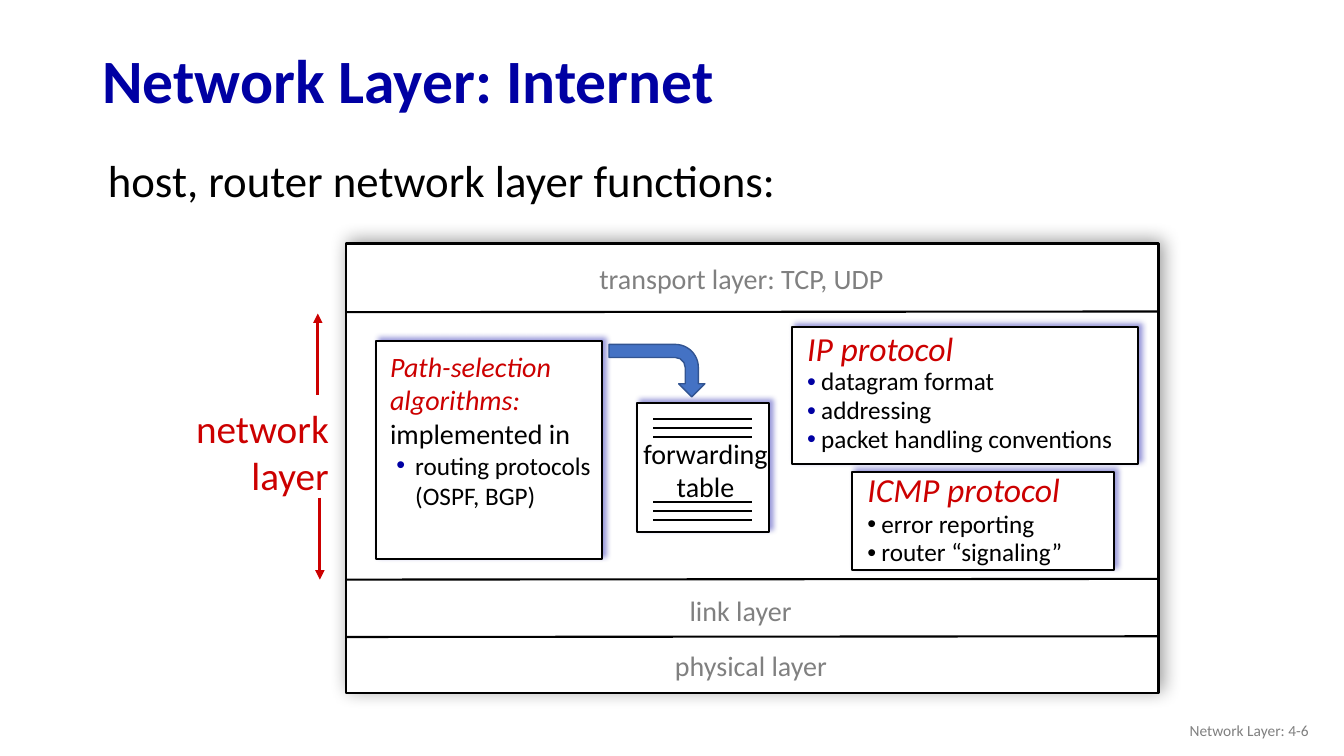
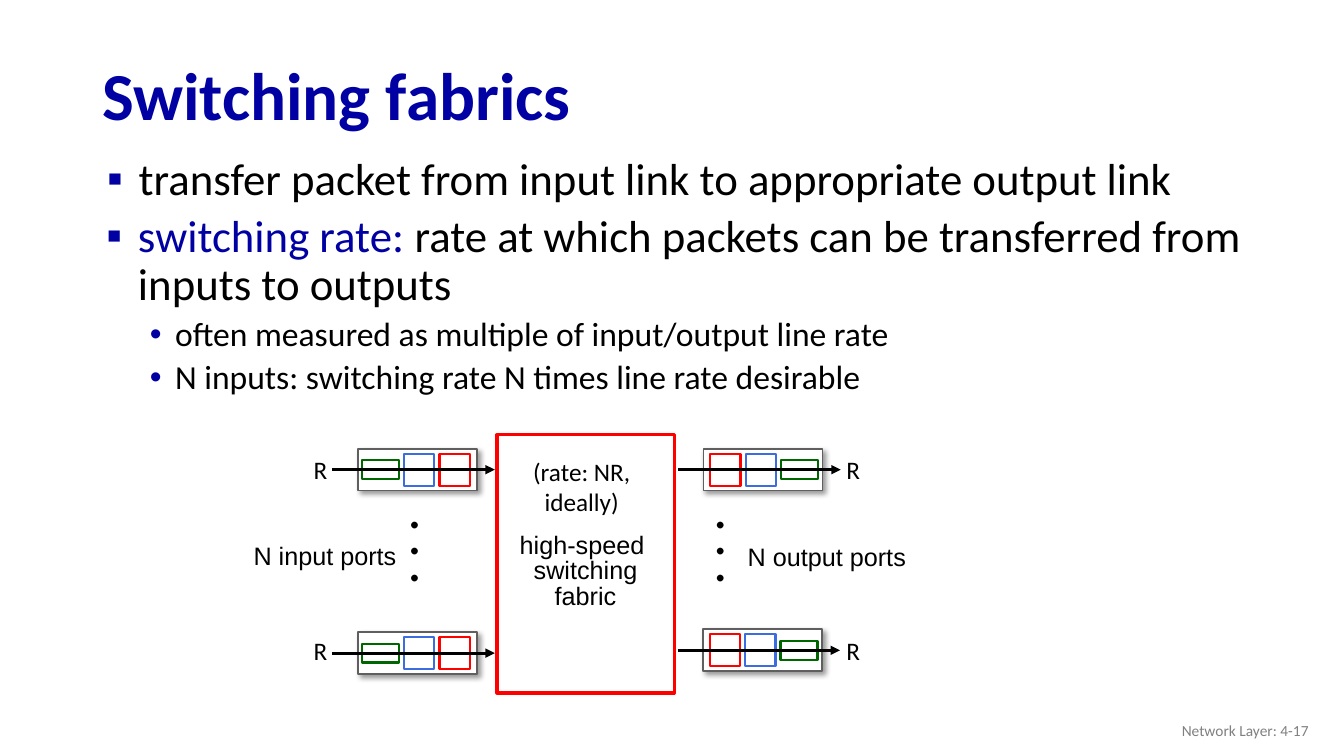
from lxml import etree
from pptx import Presentation
from pptx.dml.color import RGBColor
from pptx.enum.shapes import MSO_CONNECTOR, MSO_SHAPE
from pptx.enum.text import MSO_ANCHOR, MSO_AUTO_SIZE, PP_ALIGN
from pptx.oxml.ns import qn
from pptx.util import Pt

RECTANGLE = MSO_SHAPE.RECTANGLE
BENT_ARROW = MSO_SHAPE.BENT_ARROW
STRAIGHT = MSO_CONNECTOR.STRAIGHT
TOP, MIDDLE = MSO_ANCHOR.TOP, MSO_ANCHOR.MIDDLE
CENTER, RIGHT = PP_ALIGN.CENTER, PP_ALIGN.RIGHT
GROW, FIXED = MSO_AUTO_SIZE.SHAPE_TO_FIT_TEXT, MSO_AUTO_SIZE.NONE

COLORS = {
    "navy": "0000A3", "crimson": "CC0000", "black": "000000", "white": "FFFFFF",
    "gray": "808080", "slate": "5F5F5F", "red": "FF0000", "blue": "3C6CDF",
    "green": "006600", "arrow": "4472C4", "arrow edge": "325491",
}


def write(page, place, paragraphs, wrap=True, anchor=TOP, font="Calibri"):
    box = page.shapes.add_textbox(*map(Pt, place))
    frame = box.text_frame
    frame.word_wrap = wrap
    frame.auto_size = FIXED if wrap else GROW
    frame.vertical_anchor = anchor
    for index, item in enumerate(paragraphs):
        para = frame.paragraphs[0] if index == 0 else frame.add_paragraph()
        para.level = item.get("level", 0)
        if "bullet" in item:
            mark, color, left, hang = item["bullet"]
            props = para._p.get_or_add_pPr()
            props.set("marL", str(Pt(left)))
            props.set("indent", str(Pt(-hang)))
            paint = etree.SubElement(props, qn("a:buClr"))
            etree.SubElement(paint, qn("a:srgbClr"), val=COLORS[color])
            etree.SubElement(props, qn("a:buFont"), typeface="Arial")
            etree.SubElement(props, qn("a:buChar"), char=mark)
        para.alignment = item.get("align")
        para.line_spacing = item.get("spacing", 1.0)
        para.space_before = Pt(item.get("before", 0))
        for text, size, color, style in item["runs"]:
            span = para.add_run()
            span.text = text
            span.font.name = font
            span.font.size = Pt(size)
            span.font.bold = style == "bold"
            span.font.italic = style == "italic"
            span.font.color.rgb = RGBColor.from_string(COLORS[color])
    return box


def draw(page, place, line, width, fill="white", preset=RECTANGLE, shadow=None):
    shape = page.shapes.add_shape(preset, *map(Pt, place))
    shape.fill.solid()
    shape.fill.fore_color.rgb = RGBColor.from_string(COLORS[fill])
    shape.line.color.rgb = RGBColor.from_string(COLORS[line])
    shape.line.width = Pt(width)
    shape.shadow.inherit = False
    if shadow:
        color, blur, angle = shadow
        effects = shape._element.spPr.find(qn("a:effectLst"))
        outer = etree.SubElement(
            effects, qn("a:outerShdw"), blurRad=str(Pt(blur)), dist=str(Pt(3)),
            dir=str(angle * 60000), algn="ctr", rotWithShape="0")
        paint = etree.SubElement(outer, qn("a:srgbClr"), val=COLORS[color])
        etree.SubElement(paint, qn("a:alpha"), val="40000")
    return shape


deck = Presentation()
deck.slide_width, deck.slide_height = Pt(960), Pt(540)
pages = []
for title, size, top, number in (
    ("Network Layer: Internet", 44, 24.5, 6),
    ("Switching fabrics", 48, 35.5, 17),
):
    page = deck.slides.add_slide(deck.slide_layouts[6])
    pages.append(page)
    write(page, (66, top, 828, 70.5),
          [{"spacing": 0.9, "runs": [(title, size, "navy", "bold")]}], anchor=MIDDLE)
    write(page, (726, 507.5, 216, 29),
          [{"align": RIGHT, "runs": [(f"Network Layer: 4-{number}", 11, "gray", "")]}],
          anchor=MIDDLE)
internet, fabrics = pages
lines = []

write(internet, (70, 111.5, 593, 34.5),
      [{"spacing": 0.85,
        "runs": [("host, router network layer functions:", 32, "black", "")]}])
draw(internet, (247, 174, 580.5, 321), "black", 1.5, shadow=("black", 13, 315))
for place in ((566, 233.5, 247, 98), (608.5, 337, 187, 70),
              (455, 288, 94.5, 92), (268.5, 243.5, 161.5, 156)):
    draw(internet, place, "black", 1.5, shadow=("navy", 4, 315))
bend = draw(internet, (450.5, 230.5, 37.5, 68.5), "arrow edge", 1, "arrow", BENT_ARROW)
bend.rotation = 90

for y in (223, 414, 455):
    lines.append((internet, (248, y), (828.5, y - 0.5), "black", 1.5, False))
for first in (299, 358.5):
    for row in range(3):
        y = first + row * 6.5
        lines.append((internet, (466.5, y), (537, y), "black", 1.5, False))
lines.append((internet, (227, 282), (227, 224), "crimson", 2.25, True))
lines.append((internet, (228.5, 355.5), (228.5, 414), "crimson", 2.25, True))

for layer, place in (
    ("transport layer: TCP, UDP", (421, 183, 223, 31.5)),
    ("link layer", (485.5, 420.5, 88.5, 31.5)),
    ("physical layer", (475, 460, 125.5, 31.5)),
):
    write(internet, place, [{"runs": [(layer, 20, "gray", "")]}], wrap=False)

for words, place, size, color, align in (
    (("network", "layer"), (131, 285, 111, 75), 28, "crimson", RIGHT),
    (("forwarding", "table"), (451.5, 308, 105, 55.5), 20, "black", CENTER),
):
    write(internet, place,
          [{"align": align, "runs": [(word, size, color, "")]} for word in words],
          wrap=False)

for heading, spacing, features, place, color, wrap in (
    ("IP protocol", 1.0, ("datagram format", "addressing", "packet handling conventions"),
     (569.5, 230.5, 240, 98.5), "navy", False),
    ("ICMP protocol", 0.95, ("error reporting", "router “signaling”"),
     (612.5, 333.5, 193.5, 76.5), "black", True),
):
    paragraphs = [{"spacing": spacing, "runs": [(heading, 24, "crimson", "italic")]}]
    for feature in features:
        paragraphs.append({"spacing": 0.95, "bullet": ("•", color, 10, 10),
                           "runs": [(feature, 18, "black", "")]})
    write(internet, place, paragraphs, wrap=wrap)

write(internet, (271.5, 246, 167, 124), [
    {"runs": [("Path-selection algorithms: ", 20, "crimson", "italic"),
              ("implemented in", 20, "black", "")]},
    {"bullet": ("•", "navy", 18, 13.5),
     "runs": [("routing protocols (OSPF, BGP)", 18, "black", "")]},
])

square = ("▪", "navy", 28, 22.5)
write(fabrics, (64, 108.5, 869, 49.5), [
    {"spacing": 0.9, "bullet": square,
     "runs": [("transfer packet from input link to appropriate output link",
               32, "black", "")]},
])
points = [
    {"spacing": 0.9, "bullet": square,
     "runs": [("switching rate: ", 32, "navy", ""),
              ("rate at which packets can be transferred from inputs to outputs",
               32, "black", "")]},
]
for detail in ("often measured as multiple of input/output line rate",
               "N inputs: switching rate N times line rate desirable"):
    points.append({"level": 1, "spacing": 0.9, "before": 5,
                   "bullet": ("•", "navy", 54.5, 18),
                   "runs": [(detail, 24, "black", "")]})
write(fabrics, (63.5, 149, 869, 182), points)

draw(fabrics, (355, 310.5, 126.5, 184.5), "red", 2.25)
write(fabrics, (363, 322.5, 105, 51),
      [{"align": CENTER, "runs": [("(rate: NR, ideally)", 18, "black", "")]}])
write(fabrics, (363.5, 377.5, 109.5, 62.5),
      [{"align": CENTER, "spacing": 0.85, "runs": [(word, 18, "black", "")]}
       for word in ("high-speed ", "switching", "fabric")],
      wrap=False, font="Arial")

port_width, port_height = 85, 30
stages = (("green", 3, 26.5, 13.5), ("blue", 33, 21.5, 23), ("red", 58.5, 21.5, 23))
for left, top, is_output in ((255.5, 320.5, False), (255.5, 451.5, False),
                             (502.5, 320.5, True), (502, 449.5, True)):
    draw(fabrics, (left, top, port_width, port_height), "slate", 1.25,
         shadow=("black", 4, 45))
    for color, offset, width, height in stages:
        if is_output:
            offset = port_width - offset - width
        draw(fabrics, (left + offset, top + (port_height - height) / 2, width, height),
             color, 1.5)
    y = top + port_height / 2
    lines.append((fabrics, (left - 18, y), (left + 98, y), "black", 2.25, True))
    label_left = 597.5 if is_output else 217
    label_top = 321 if top < 400 else 450
    write(fabrics, (label_left, label_top, 24.5, 29),
          [{"runs": [("R", 18, "black", "")]}], wrap=False)

for label, place, dots_left in (
    ("N input ports", (174, 382.5, 117.5, 29), 273.5),
    ("N output ports", (527, 383, 129, 29), 492),
):
    write(fabrics, place, [{"runs": [(label, 18, "black", "")]}], wrap=False, font="Arial")
    dots = write(fabrics, (dots_left, 371, 72.5, 55.5),
                 [{"align": CENTER, "runs": [(". . . ", 40, "black", "")]}])
    dots.rotation = 90

for page, start, end, color, width, has_arrow in lines:
    line = page.shapes.add_connector(STRAIGHT, *map(Pt, start + end))
    line.line.color.rgb = RGBColor.from_string(COLORS[color])
    line.line.width = Pt(width)
    if has_arrow:
        etree.SubElement(line.line._get_or_add_ln(), qn("a:tailEnd"), type="triangle")
    etree.SubElement(line._element.spPr, qn("a:effectLst"))

deck.save("out.pptx")
